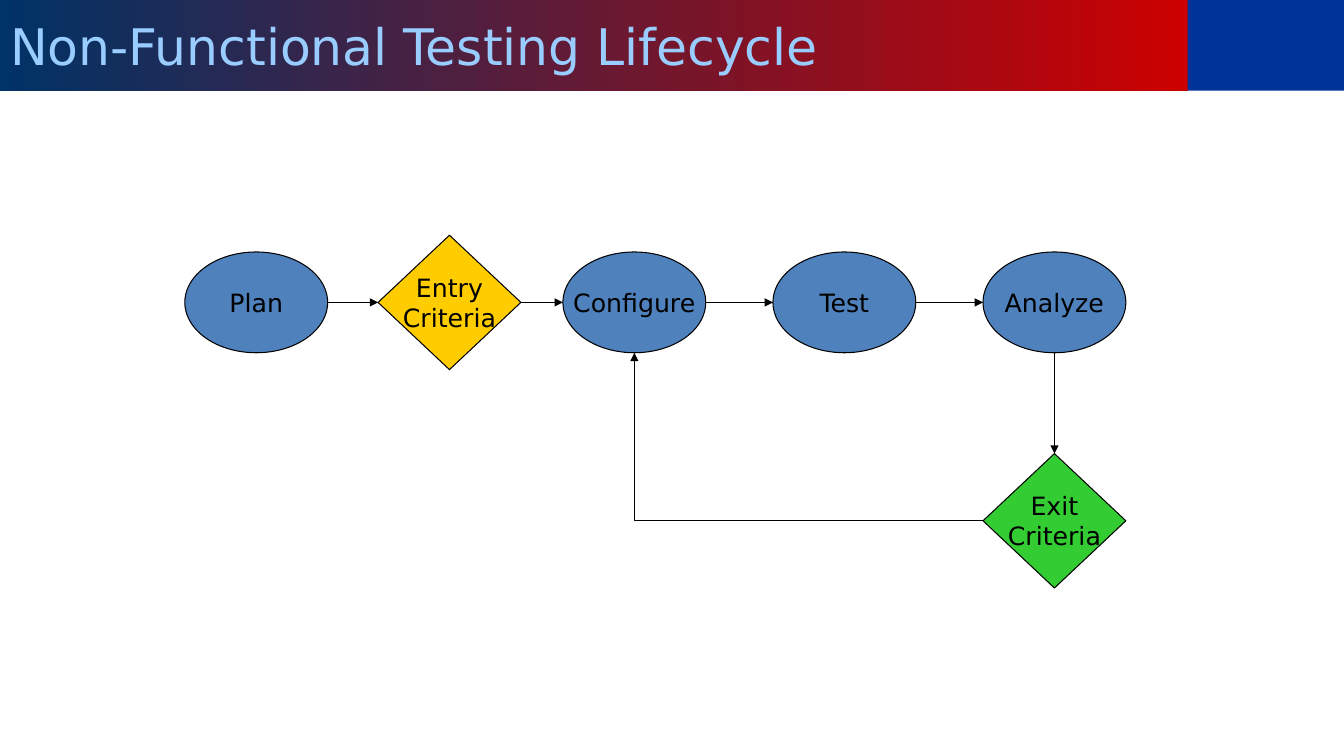
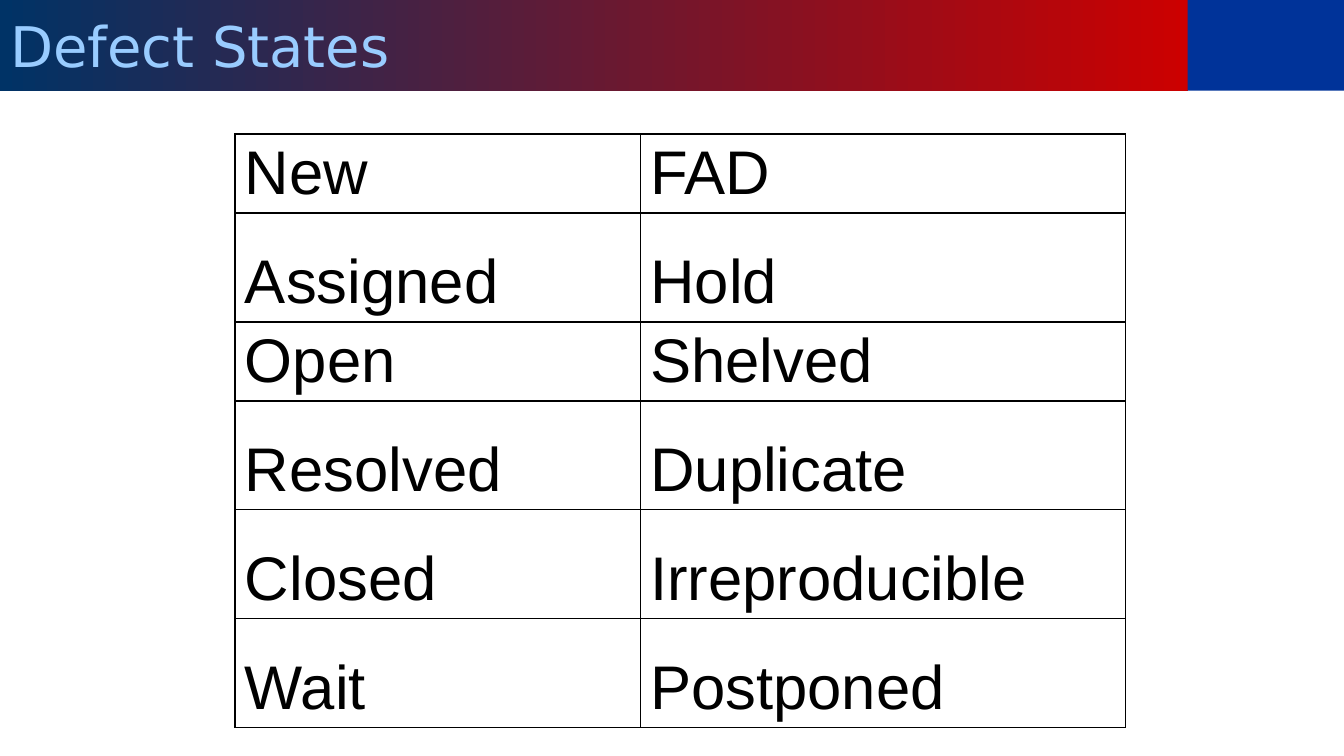
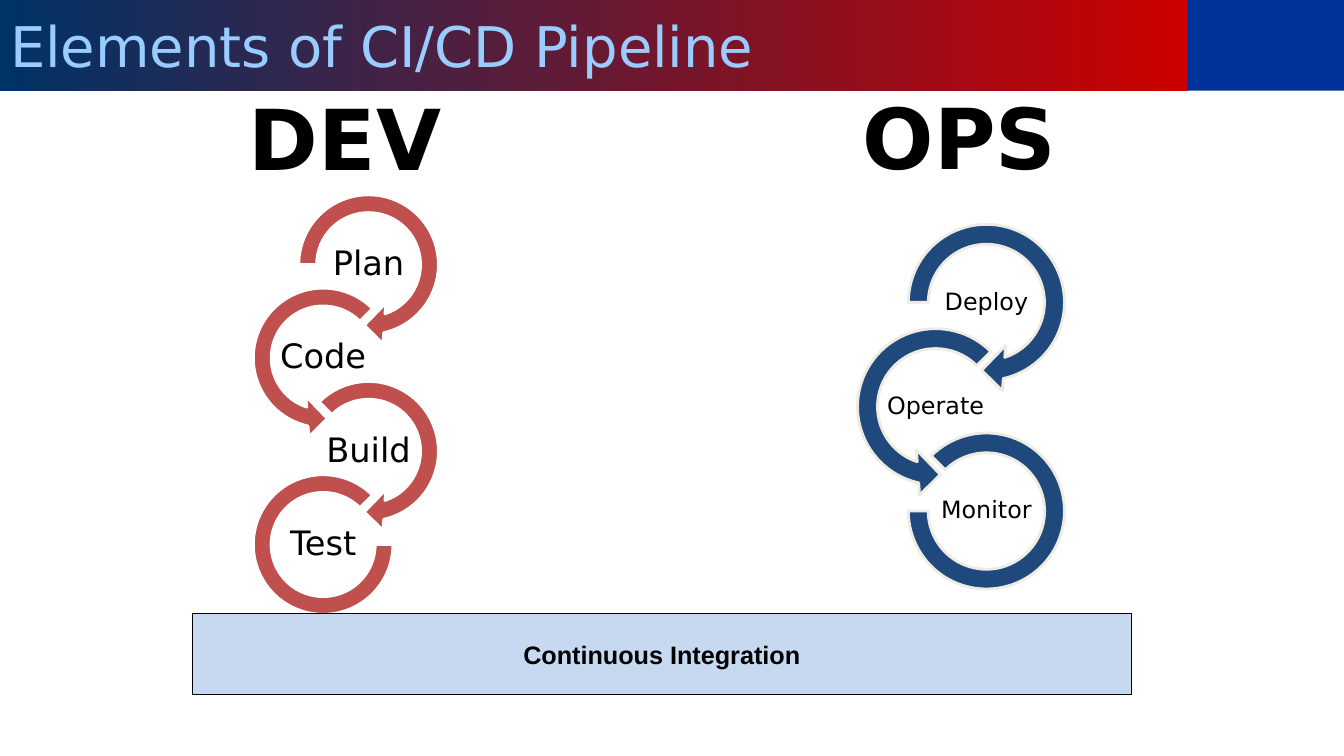
"""Build three slides on testing, defects and the delivery pipeline."""
from dataclasses import dataclass

from lxml import etree
from pptx import Presentation
from pptx import util as u
from pptx.dml.color import RGBColor
from pptx.enum import shapes, text
from pptx.oxml.ns import qn

KIND, ALIGN = shapes.MSO_SHAPE, text.PP_ALIGN
MIDDLE, BOTTOM = text.MSO_ANCHOR.MIDDLE, text.MSO_ANCHOR.BOTTOM


@dataclass(frozen=True)
class Theme:
    heading_font: str = "DejaVu Sans"
    plain_font: str = "Arial"
    ink: str = "000000"
    title: str = "99CCFF"
    band_start: str = "003366"
    band_end: str = "CC0000"
    corner: str = "003399"
    step: str = "4F81BD"
    entry: str = "FFCC00"
    exit: str = "33CC33"
    dev: str = "C0504D"
    dev_edge: str = "FFFFFF"
    ops: str = "1F497D"
    ops_edge: str = "EEECE1"
    base: str = "C6D9F1"
    hairline: float = 0.75
    table_line: float = 1
    ring_line: float = 2
    body_size: int = 18
    table_size: int = 44
    heading_size: int = 60


THEME = Theme()
WIDTH, HEIGHT = 13.33, 7.5
UNIT = HEIGHT / 90
BAND = (11.78, 0.9)

LIFECYCLE_TITLE = ("Non-Functional Testing Lifecycle", 36)
NODES = {
    "plan": ("Plan", KIND.OVAL, THEME.step, 22, 36),
    "configure": ("Configure", KIND.OVAL, THEME.step, 67, 36),
    "test": ("Test", KIND.OVAL, THEME.step, 92, 36),
    "analyze": ("Analyze", KIND.OVAL, THEME.step, 117, 36),
    "entry": ("Entry\nCriteria", KIND.DIAMOND, THEME.entry, 45, 36),
    "exit": ("Exit\nCriteria", KIND.DIAMOND, THEME.exit, 117, 62),
}
NODE_WIDTH = 17
NODE_HEIGHTS = {KIND.OVAL: 12, KIND.DIAMOND: 16}
FLOW = ["plan", "entry", "configure", "test", "analyze"]

STATES_TITLE = ("Defect States", 40)
STATES = [("New", "FAD"), ("Assigned", "Hold"), ("Open", "Shelved"),
          ("Resolved", "Duplicate"), ("Closed", "Irreproducible"),
          ("Wait", "Postponed")]
STATE_COLUMNS = (4.02, 4.81)
STATE_ROWS = (0.63, 1.08, 0.63, 1.08, 1.08, 1.08)

PIPELINE_TITLE = ("Elements of CI/CD Pipeline", 40)
RIGHT_TURN = (KIND.CIRCULAR_ARROW, (0.11, 11.42, 45, 108, 0.125))
LEFT_TURN = (KIND.LEFT_CIRCULAR_ARROW, (0.11, 11.42, 63, 189, 0.125))
NEXT_TURN = (KIND.CIRCULAR_ARROW, (0.11, 11.42, 45, 135, 0.125))
LEFT_END = (KIND.BLOCK_ARC, (0, 189, 0.127))
RIGHT_END = (KIND.BLOCK_ARC, (135, 108, 0.127))
CHAINS = [
    dict(heading="DEV", heading_at=(2.37, 0.81), at=(2.4, 1.82), size=1.61,
         label=(0.9, 0.45), inset=0.02, type_size=24,
         fill=THEME.dev, edge=THEME.dev_edge,
         rings=[("Plan", RIGHT_TURN), ("Code", LEFT_TURN),
                ("Build", NEXT_TURN), ("Test", LEFT_END)]),
    dict(heading="OPS", heading_at=(8.46, 0.8), at=(8.38, 2.1), size=1.8,
         label=(1, 0.5), inset=0.01, type_size=17,
         fill=THEME.ops, edge=THEME.ops_edge,
         rings=[("Deploy", RIGHT_TURN), ("Operate", LEFT_TURN),
                ("Monitor", RIGHT_END)]),
]
RING_STEP, RING_SHIFT, ARC_SHARE = 0.575, 0.28, 0.86
BASE = ("Continuous Integration", (1.91, 6.09, 9.31, 0.8))


def assign(target, values):
    for name, value in values.items():
        setattr(target, name, value)


def inches(lengths):
    return [u.Inches(length) for length in lengths]


def paint(shape, fill, edge=None, weight=THEME.hairline):
    shape.shadow.inherit = False
    shape.fill.solid()
    shape.fill.fore_color.rgb = RGBColor.from_string(fill)
    if edge:
        shape.line.color.rgb = RGBColor.from_string(edge)
        shape.line.width = u.Pt(weight)
    else:
        shape.line.fill.background()


def write(frame, words, size, color=THEME.ink, font=THEME.heading_font,
          bold=False, align=ALIGN.CENTER, spacing=None, **frame_format):
    frame.text = words
    assign(frame, frame_format)
    for paragraph in frame.paragraphs:
        assign(paragraph, dict(alignment=align, line_spacing=spacing))
        assign(paragraph.font, dict(name=font, size=u.Pt(size), bold=bold))
        paragraph.font.color.rgb = RGBColor.from_string(color)


def add_slide(presentation, title, size):
    slide = presentation.slides.add_slide(presentation.slide_layouts[5])
    corner = slide.shapes.add_shape(
        KIND.RECTANGLE, *inches((BAND[0], 0, WIDTH - BAND[0], BAND[1])))
    paint(corner, THEME.corner)
    banner = slide.shapes.title
    assign(banner, dict(zip(("left", "top", "width", "height"),
                            inches((0, 0, *BAND)))))
    banner.fill.gradient()
    banner.fill.gradient_angle = 0
    for stop, color in zip(banner.fill.gradient_stops,
                           (THEME.band_start, THEME.band_end)):
        stop.color.rgb = RGBColor.from_string(color)
    write(banner.text_frame, title, size, THEME.title, align=ALIGN.LEFT,
          vertical_anchor=MIDDLE, word_wrap=True,
          auto_size=text.MSO_AUTO_SIZE.NONE)
    return slide


def add_arrow(slide, start, end, kind=shapes.MSO_CONNECTOR.STRAIGHT):
    points = [value * UNIT for value in (*start, *end)]
    arrow = slide.shapes.add_connector(kind, *inches(points))
    arrow.line.color.rgb = RGBColor.from_string(THEME.ink)
    arrow.line.width = u.Pt(THEME.hairline)
    etree.SubElement(arrow.line._get_or_add_ln(), qn("a:tailEnd"), type="triangle")
    etree.SubElement(arrow.element.spPr, qn("a:effectLst"))
    return arrow


def add_return_arrow(slide, start, end):
    arrow = add_arrow(slide, end, start, shapes.MSO_CONNECTOR.ELBOW)
    properties = arrow.element.spPr
    properties.find(qn("a:xfrm")).set("rot", str(180 * 60000))
    properties.find(qn("a:prstGeom")).set("prst", "bentConnector2")


def build_lifecycle(presentation):
    slide = add_slide(presentation, *LIFECYCLE_TITLE)
    sides = {}
    for name, (words, kind, color, left, middle) in NODES.items():
        height = NODE_HEIGHTS[kind]
        top, center = middle - height / 2, left + NODE_WIDTH / 2
        box = [value * UNIT for value in (left, top, NODE_WIDTH, height)]
        node = slide.shapes.add_shape(kind, *inches(box))
        paint(node, color, THEME.ink)
        write(node.text_frame, words, THEME.body_size,
              vertical_anchor=MIDDLE, word_wrap=False)
        sides[name] = dict(left=(left, middle), right=(left + NODE_WIDTH, middle),
                           top=(center, top), bottom=(center, top + height))
    for source, target in zip(FLOW, FLOW[1:]):
        add_arrow(slide, sides[source]["right"], sides[target]["left"])
    add_arrow(slide, sides["analyze"]["bottom"], sides["exit"]["top"])
    add_return_arrow(slide, sides["exit"]["left"], sides["configure"]["bottom"])


def add_borders(cell):
    properties = cell._tc.get_or_add_tcPr()
    for index, side in enumerate(("lnL", "lnR", "lnT", "lnB")):
        border = etree.Element(qn("a:" + side), w=str(u.Pt(THEME.table_line)))
        fill = etree.SubElement(border, qn("a:solidFill"))
        etree.SubElement(fill, qn("a:srgbClr"), val=THEME.ink)
        properties.insert(index, border)


def build_states(presentation):
    slide = add_slide(presentation, *STATES_TITLE)
    size = (sum(STATE_COLUMNS), sum(STATE_ROWS))
    table = slide.shapes.add_table(len(STATES), len(STATE_COLUMNS),
                                   *inches((2.33, 1.33, *size))).table
    assign(table, dict(first_row=False, horz_banding=False))
    for column, width in zip(table.columns, STATE_COLUMNS):
        column.width = u.Inches(width)
    for row, height, states in zip(table.rows, STATE_ROWS, STATES):
        row.height = u.Inches(height)
        for cell, state in zip(row.cells, states):
            cell.vertical_anchor = BOTTOM
            cell.fill.background()
            add_borders(cell)
            write(cell.text_frame, state, THEME.table_size,
                  font=THEME.plain_font, align=ALIGN.LEFT)


def add_chain(slide, chain):
    size, (left, top) = chain["size"], chain["at"]
    label_width, label_height = chain["label"]
    for index, (words, (kind, adjustments)) in enumerate(chain["rings"]):
        shift = 0 if index % 2 else RING_SHIFT * size
        center = left + shift + size / 2
        middle = top + index * RING_STEP * size + size / 2
        side = size * (ARC_SHARE if kind == KIND.BLOCK_ARC else 1)
        ring = slide.shapes.add_shape(
            kind, *inches((center - side / 2, middle - side / 2, side, side)))
        for position, value in enumerate(adjustments):
            ring.adjustments[position] = value
        paint(ring, chain["fill"], chain["edge"], THEME.ring_line)
        label = slide.shapes.add_textbox(*inches(
            (center - label_width / 2, middle - label_height / 2,
             label_width, label_height)))
        margins = {"margin_" + edge: u.Inches(chain["inset"])
                   for edge in ("left", "top", "right", "bottom")}
        write(label.text_frame, words, chain["type_size"], spacing=0.9,
              vertical_anchor=MIDDLE, word_wrap=True, **margins)
    heading = slide.shapes.add_textbox(*inches((*chain["heading_at"], 2.12, 1.11)))
    write(heading.text_frame, chain["heading"], THEME.heading_size, bold=True,
          align=ALIGN.LEFT, word_wrap=False,
          auto_size=text.MSO_AUTO_SIZE.SHAPE_TO_FIT_TEXT)


def build_pipeline(presentation):
    slide = add_slide(presentation, *PIPELINE_TITLE)
    for chain in CHAINS:
        add_chain(slide, chain)
    words, box = BASE
    base = slide.shapes.add_shape(KIND.RECTANGLE, *inches(box))
    paint(base, THEME.base, THEME.ink)
    write(base.text_frame, words, THEME.body_size, font=THEME.plain_font,
          bold=True, vertical_anchor=MIDDLE)


def main():
    presentation = Presentation()
    assign(presentation, dict(slide_width=u.Inches(WIDTH),
                              slide_height=u.Inches(HEIGHT)))
    for build in (build_lifecycle, build_states, build_pipeline):
        build(presentation)
    presentation.save("out.pptx")


main()
